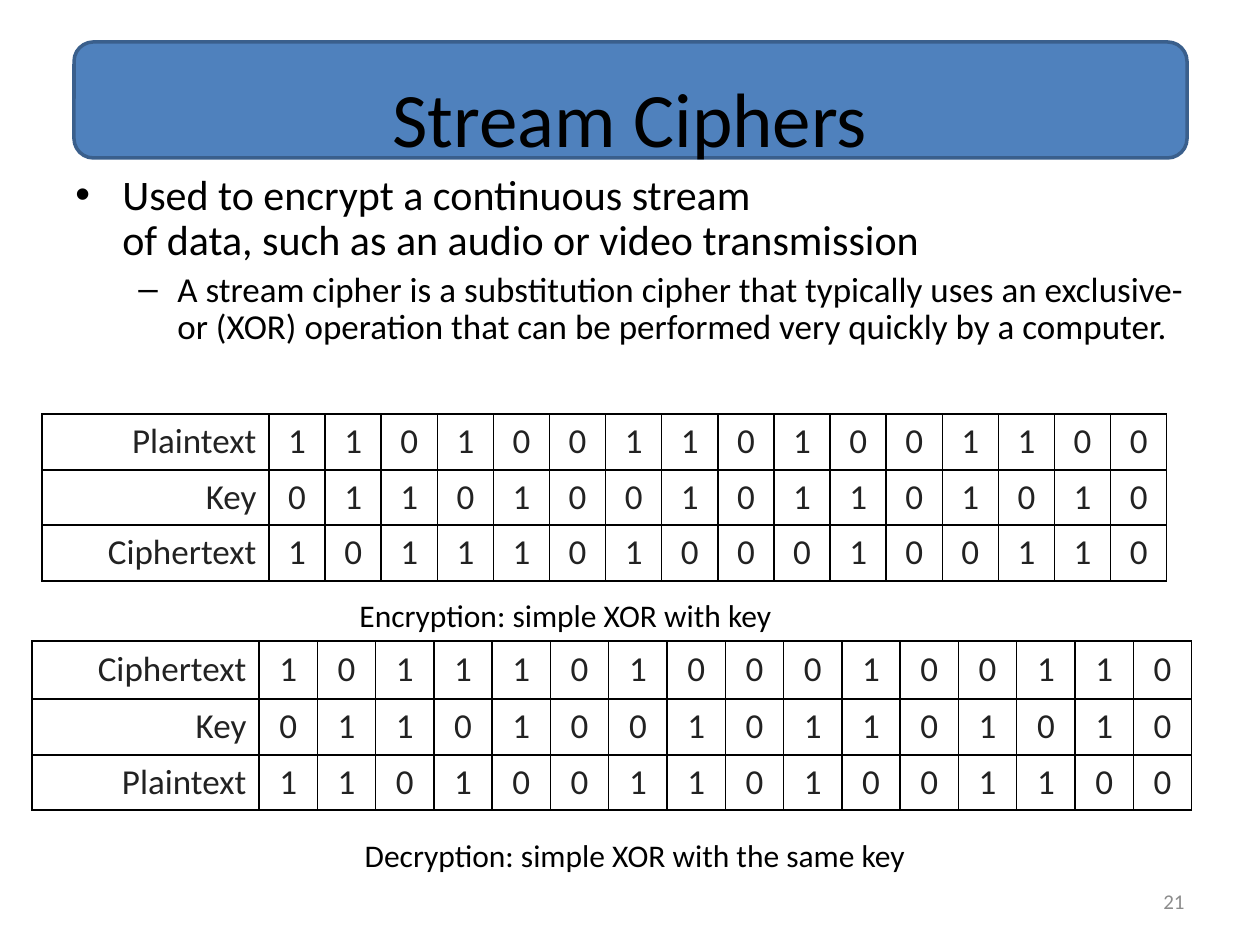
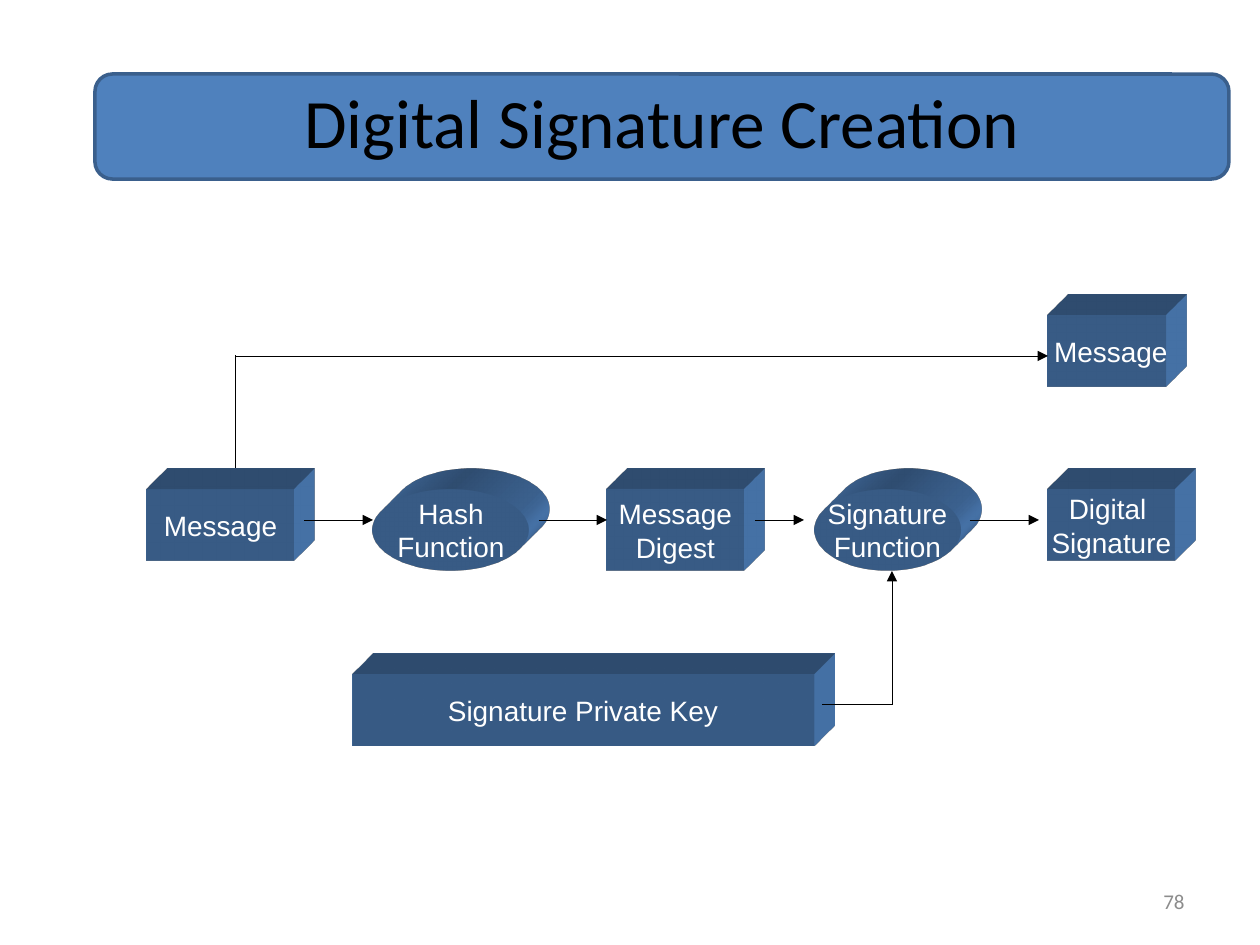
"""Builds two cryptography slides: stream ciphers and digital signature creation."""
from dataclasses import dataclass

from lxml import etree
from pptx import Presentation
from pptx.dml.color import RGBColor
from pptx.enum.shapes import MSO_CONNECTOR, MSO_SHAPE
from pptx.enum.text import MSO_ANCHOR, PP_ALIGN
from pptx.oxml.ns import qn
from pptx.util import Pt

EMU_PER_PX = 914400 / 126
SLIDE_WIDTH, SLIDE_HEIGHT = 1260, 945
DEPTH = 59
FILL, BANNER_EDGE = "4F81BD", "3A5F8C"
BLACK, WHITE, GREY, TABLE_INK = "000000", "FFFFFF", "8C8C8C", "222222"
RECT, OVAL, ROUNDED = MSO_SHAPE.RECTANGLE, MSO_SHAPE.OVAL, MSO_SHAPE.ROUNDED_RECTANGLE
STRAIGHT = MSO_CONNECTOR.STRAIGHT
LEFT, CENTER, RIGHT = PP_ALIGN.LEFT, PP_ALIGN.CENTER, PP_ALIGN.RIGHT
TOP, MIDDLE = MSO_ANCHOR.TOP, MSO_ANCHOR.MIDDLE


@dataclass(frozen=True)
class Box:
    left: int
    top: int
    width: int
    height: int


@dataclass(frozen=True)
class Style:
    size: float
    colour: str = BLACK
    font: str = "Calibri"


@dataclass(frozen=True)
class Bullet:
    mark: str
    margin: int
    hang: int
    size: int
    lines: tuple[str, ...]


@dataclass(frozen=True)
class BitTable:
    left: int
    top: int
    bits_width: int
    row_heights: tuple[int, ...]
    rows: tuple[tuple[str, str], ...]


@dataclass(frozen=True)
class Block:
    box: Box
    lines: tuple[tuple[str, ...], ...]
    round: bool = False


@dataclass(frozen=True)
class Link:
    start: tuple[int, int]
    end: tuple[int, int]
    arrow: bool = True


LABEL_WIDTH = 227
TABLE_STYLE = Style(20, TABLE_INK)
BLOCK_STYLE = Style(16, WHITE, "Arial")
CAPTION_STYLE = Style(18)
PLAINTEXT = ("Plaintext", "1101001101001100")
KEY = ("Key", "0110100101101010")
CIPHERTEXT = ("Ciphertext", "1011101000100110")

BULLETS = (
    Bullet("•", 47, 47, 24, ("Used to encrypt a continuous stream ",
                             "of data, such as an audio or video transmission")),
    Bullet("–", 102, 39, 20, ("A stream cipher is a substitution cipher that typically uses an "
                              "exclusive-or (XOR) operation that can be performed very quickly "
                              "by a computer.",)),
)
BIT_TABLES = (
    BitTable(42, 414, 898, (56, 55, 56), (PLAINTEXT, KEY, CIPHERTEXT)),
    BitTable(32, 641, 933, (58, 56, 55), (CIPHERTEXT, KEY, PLAINTEXT)),
)
BLOCKS = (
    Block(Box(147, 489, 147, 72), (("Message",),)),
    Block(Box(373, 489, 156, 82), (("Hash",), ("Function",)), True),
    Block(Box(607, 489, 137, 82), (("Message",), ("Digest",))),
    Block(Box(814, 489, 147, 82), (("Signature",), ("Function",)), True),
    Block(Box(1048, 489, 127, 72), (("Digital ",), ("Signature",))),
    Block(Box(1048, 315, 118, 72), ((" ", "Message"),)),
    Block(Box(352, 674, 462, 72), (("Signature Private Key",),)),
)
LINKS = (
    Link((236, 356), (1048, 356)),
    Link((236, 356), (236, 468), False),
    Link((304, 520), (373, 520)),
    Link((539, 520), (607, 520)),
    Link((755, 520), (804, 520)),
    Link((970, 520), (1039, 520)),
    Link((823, 705), (892, 705), False),
    Link((892, 705), (892, 571)),
)


def px(length: float) -> int:
    """Turn pixels into EMU."""
    return round(length * EMU_PER_PX)


def rgb(colour: str) -> RGBColor:
    """Turn a hex string into a colour."""
    return RGBColor.from_string(colour)


def frame(box: Box) -> tuple[int, ...]:
    """Give a box as left, top, width and height in EMU."""
    return tuple(px(n) for n in (box.left, box.top, box.width, box.height))


def add_run(paragraph, text: str, style: Style) -> None:
    """Add one styled run."""
    run = paragraph.add_run()
    run.text = text
    run.font.size = Pt(style.size)
    run.font.name = style.font
    run.font.color.rgb = rgb(style.colour)


def add_text(slide, box: Box, text: str, style: Style, align=LEFT, anchor=TOP) -> None:
    """Add a text box of one paragraph."""
    text_frame = slide.shapes.add_textbox(*frame(box)).text_frame
    text_frame.word_wrap = True
    text_frame.vertical_anchor = anchor
    paragraph = text_frame.paragraphs[0]
    paragraph.alignment = align
    add_run(paragraph, text, style)


def add_solid(slide, kind, box: Box):
    """Add a preset shape with the shared fill and no edge."""
    shape = slide.shapes.add_shape(kind, *frame(box))
    shape.shadow.inherit = False
    shape.fill.solid()
    shape.fill.fore_color.rgb = rgb(FILL)
    shape.line.fill.background()
    return shape


def extrude(shape) -> None:
    """Give a shape a solid depth towards the top right."""
    properties = shape._element.spPr
    scene = etree.SubElement(properties, qn("a:scene3d"))
    etree.SubElement(scene, qn("a:camera"), prst="legacyObliqueTopRight")
    etree.SubElement(scene, qn("a:lightRig"), rig="legacyFlat3", dir="b")
    solid = etree.SubElement(properties, qn("a:sp3d"), extrusionH=str(px(DEPTH)),
                             prstMaterial="legacyMatte")
    for bevel in ("bevelT", "bevelB"):
        etree.SubElement(solid, qn(f"a:{bevel}"), w="13500", h="13500", prst="angle")
    ink = etree.SubElement(solid, qn("a:extrusionClr"))
    etree.SubElement(ink, qn("a:srgbClr"), val=FILL)


def start_slide(deck, banner: Box, title_box: Box, title: str, size: float, number: str):
    """Add a blank slide with its title banner and slide number."""
    slide = deck.slides.add_slide(deck.slide_layouts[6])
    band = add_solid(slide, ROUNDED, banner)
    band.line.color.rgb = rgb(BANNER_EDGE)
    band.line.width = Pt(2)
    add_text(slide, title_box, title, Style(size), CENTER, MIDDLE)
    add_text(slide, Box(903, 876, 294, 50), number, Style(12, GREY), RIGHT, MIDDLE)
    return slide


def add_bullets(slide, box: Box, bullets: tuple[Bullet, ...]) -> None:
    """Add the bulleted body text."""
    text_frame = slide.shapes.add_textbox(*frame(box)).text_frame
    text_frame.word_wrap = True
    for level, bullet in enumerate(bullets):
        paragraph = text_frame.add_paragraph() if level else text_frame.paragraphs[0]
        properties = paragraph._p.get_or_add_pPr()
        properties.set("marL", str(px(bullet.margin)))
        properties.set("indent", str(-px(bullet.hang)))
        etree.SubElement(properties, qn("a:buFont"), typeface="Arial")
        etree.SubElement(properties, qn("a:buChar")).set("char", bullet.mark)
        paragraph.level = level
        paragraph.line_spacing = 0.9
        if level:
            paragraph.space_before = Pt(bullet.size * 0.2)
        for index, line in enumerate(bullet.lines):
            if index:
                paragraph.add_line_break()
            add_run(paragraph, line, Style(bullet.size))


def border_cell(cell) -> None:
    """Draw a thin black border round a cell."""
    properties = cell._tc.get_or_add_tcPr()
    for side in ("lnL", "lnR", "lnT", "lnB"):
        edge = etree.SubElement(properties, qn(f"a:{side}"), w=str(Pt(1)))
        ink = etree.SubElement(edge, qn("a:solidFill"))
        etree.SubElement(ink, qn("a:srgbClr"), val=BLACK)


def add_bit_table(slide, bits: BitTable) -> None:
    """Add a table of labelled bit rows."""
    columns = len(bits.rows[0][1]) + 1
    box = Box(bits.left, bits.top, LABEL_WIDTH + bits.bits_width, sum(bits.row_heights))
    table = slide.shapes.add_table(len(bits.rows), columns, *frame(box)).table
    table.first_row = table.horz_banding = False
    for index, column in enumerate(table.columns):
        column.width = px(bits.bits_width / (columns - 1) if index else LABEL_WIDTH)
    for r, (label, digits) in enumerate(bits.rows):
        table.rows[r].height = px(bits.row_heights[r])
        for c, text in enumerate((label, *digits)):
            cell = table.cell(r, c)
            border_cell(cell)
            cell.fill.background()
            cell.vertical_anchor = MIDDLE
            paragraph = cell.text_frame.paragraphs[0]
            paragraph.alignment = CENTER if c else RIGHT
            add_run(paragraph, text, TABLE_STYLE)


def add_block(slide, block: Block) -> None:
    """Draw one block of the diagram with its depth and label."""
    solid = add_solid(slide, OVAL if block.round else RECT, block.box)
    extrude(solid)
    text_frame = solid.text_frame
    text_frame.word_wrap = False
    text_frame.vertical_anchor = MIDDLE
    text_frame.margin_top = text_frame.margin_bottom = 0
    for index, line in enumerate(block.lines):
        paragraph = text_frame.add_paragraph() if index else text_frame.paragraphs[0]
        paragraph.alignment = CENTER
        for text in line:
            add_run(paragraph, text, BLOCK_STYLE)


def add_link(slide, link: Link) -> None:
    """Draw one hairline of the flow, with an arrowhead if it has one."""
    line = slide.shapes.add_connector(STRAIGHT, *(px(n) for n in (*link.start, *link.end)))
    line._element.remove(line._element.find(qn("p:style")))
    line.line.color.rgb = rgb(BLACK)
    if link.arrow:
        etree.SubElement(line.line._get_or_add_ln(), qn("a:tailEnd"), type="triangle")
    etree.SubElement(line._element.spPr, qn("a:effectLst"))


def build_stream_ciphers(deck) -> None:
    """Build the stream cipher slide."""
    slide = start_slide(deck, Box(74, 42, 1113, 116), Box(63, 38, 1134, 157),
                        "Stream Ciphers", 44, "21")
    add_bullets(slide, Box(63, 168, 1134, 231), BULLETS)
    for bits in BIT_TABLES:
        add_bit_table(slide, bits)
    add_text(slide, Box(347, 590, 684, 50), "Encryption: simple XOR with key", CAPTION_STYLE)
    add_text(slide, Box(262, 830, 746, 53), "Decryption: simple XOR with the same key",
             CAPTION_STYLE, CENTER)


def build_signature_creation(deck) -> None:
    """Build the digital signature slide."""
    slide = start_slide(deck, Box(95, 74, 1134, 105), Box(95, 74, 1134, 94),
                        "Digital Signature Creation", 39.6, "78")
    for block in BLOCKS:
        add_block(slide, block)
    for link in LINKS:
        add_link(slide, link)


def main() -> None:
    """Build and save the deck."""
    deck = Presentation()
    deck.slide_width, deck.slide_height = px(SLIDE_WIDTH), px(SLIDE_HEIGHT)
    build_stream_ciphers(deck)
    build_signature_creation(deck)
    deck.save("out.pptx")


if __name__ == "__main__":
    main()
